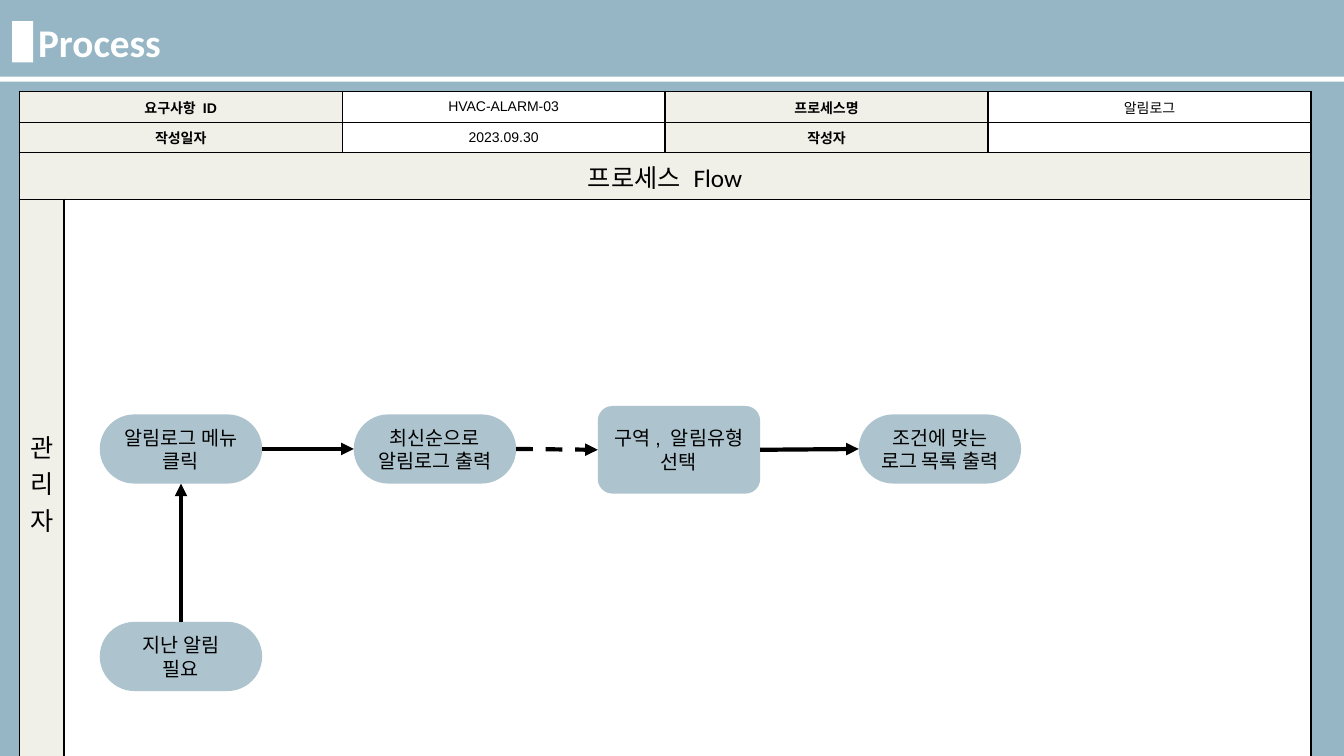
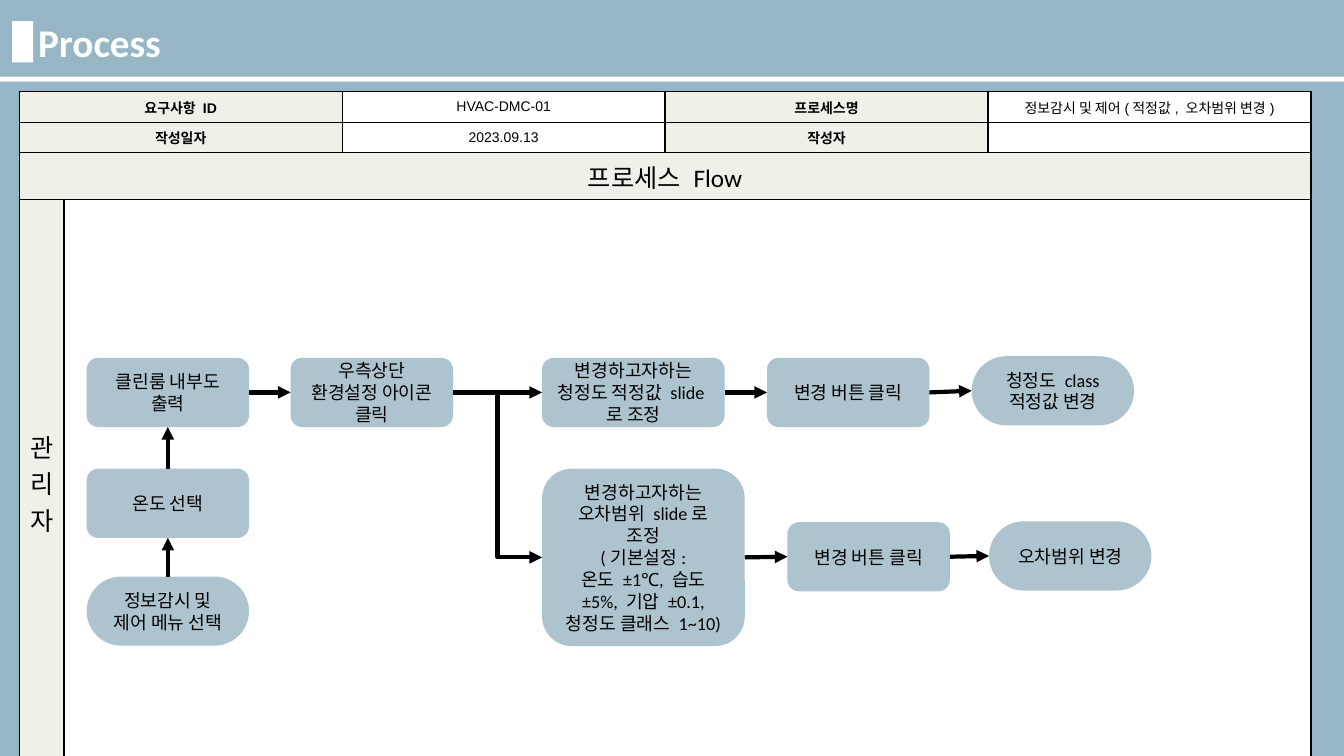
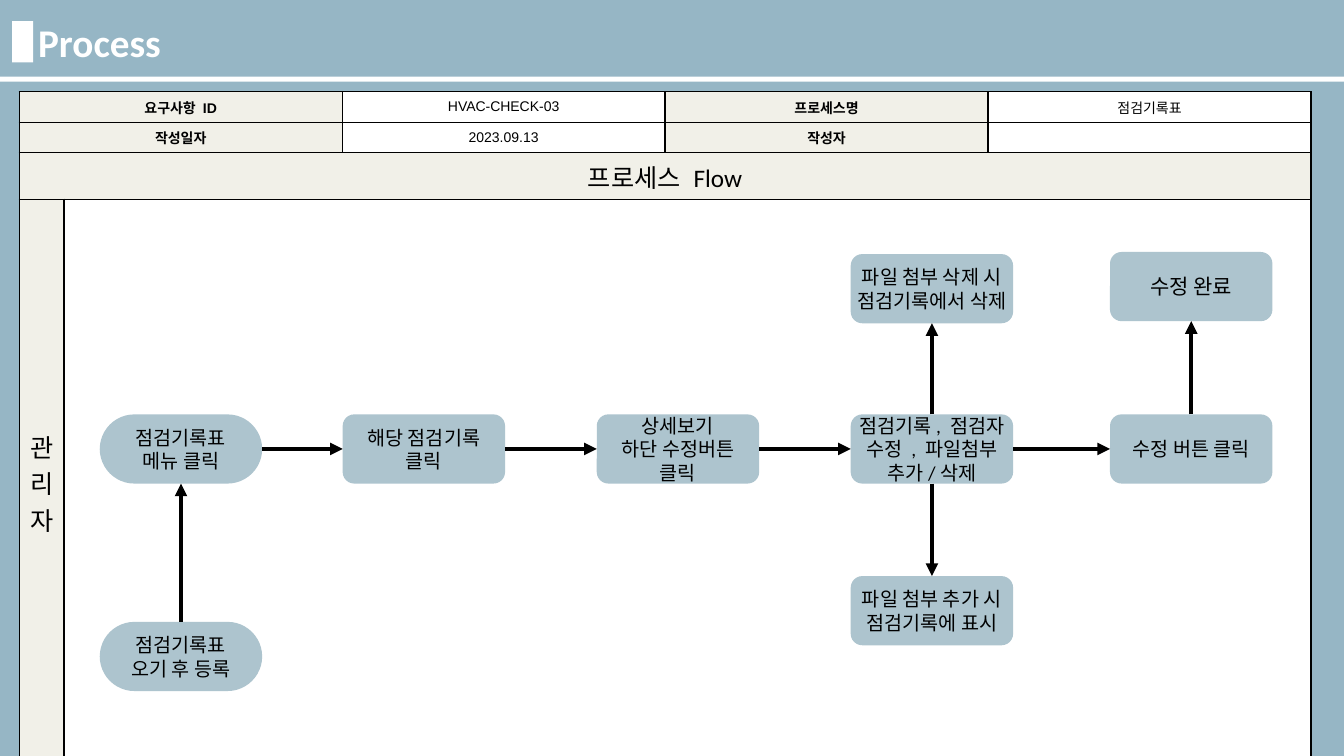
from dataclasses import dataclass

from lxml import etree
from pptx import Presentation
from pptx import util as u
from pptx.dml import color
from pptx.enum import dml, shapes, text
from pptx.oxml import ns

BACK, CREAM, NODE, WHITE, BLACK = "96B6C5", "F1F0E8", "ADC4CE", "FFFFFF", "000000"
HEAD, BODY = "Calibri", "Arial"
WIDE, TALL = 116, 49.4
COLS = (32.1, 198.6, 230.7, 230.7, 230.7)
ROWS = (21.8, 21.8, 32.8, 405)
SITES = {"right": (3, 1), "up": (0, 2), "down": (2, 0)}


@dataclass(frozen=True)
class Node:
    key: str
    x: float
    y: float
    text: str
    pill: bool = False
    w: float = WIDE
    h: float = TALL
    size: float = 14


@dataclass(frozen=True)
class Link:
    src: str
    dst: str
    way: str = "right"
    dash: bool = False
    bent: bool = False


@dataclass(frozen=True)
class Page:
    code: str
    name: str
    date: str
    nodes: tuple[Node, ...]
    links: tuple[Link, ...]
    font: str = HEAD
    wrap: bool = False


def paint(fill, tint: str) -> None:
    fill.solid()
    fill.fore_color.rgb = color.RGBColor.from_string(tint)


def write(frame, words: str, *, size: float, font: str = HEAD, tint: str = BLACK,
          bold: bool = False, center: bool = True) -> None:
    for i, line in enumerate(words.split("\n")):
        par = frame.add_paragraph() if i else frame.paragraphs[0]
        par.alignment = text.PP_ALIGN.CENTER if center else text.PP_ALIGN.LEFT
        if not line:
            etree.SubElement(par._p, ns.qn("a:endParaRPr"), sz=str(int(size * 100)))
            continue
        run = par.add_run()
        run.text = line
        run.font.size = u.Pt(size)
        run.font.name = font
        run.font.bold = bold
        run.font.color.rgb = color.RGBColor.from_string(tint)


def block(slide, kind, x: float, y: float, w: float, h: float, tint: str):
    shape = slide.shapes.add_shape(kind, u.Pt(x), u.Pt(y), u.Pt(w), u.Pt(h))
    shape.shadow.inherit = False
    paint(shape.fill, tint)
    shape.line.fill.background()
    return shape


def banner(slide) -> None:
    box = slide.shapes.add_textbox(u.Pt(20.2), u.Pt(9.4), u.Pt(862), u.Pt(41))
    box.text_frame.word_wrap = True
    write(box.text_frame, "Process", size=28, tint=WHITE, bold=True, center=False)
    rect = shapes.MSO_SHAPE.RECTANGLE
    block(slide, rect, 8.6, 15.1, 15.1, 29.5, WHITE)
    block(slide, rect, 0, 54.7, 960, 3.6, WHITE)


def style(cell, tint: str) -> None:
    props = cell._tc.get_or_add_tcPr()
    for side in ("lnL", "lnR", "lnT", "lnB"):
        line = etree.SubElement(props, ns.qn(f"a:{side}"), w=str(u.Pt(1)))
        fill = etree.SubElement(line, ns.qn("a:solidFill"))
        etree.SubElement(fill, ns.qn("a:srgbClr"), val=BLACK)
    paint(cell.fill, tint)
    cell.vertical_anchor = text.MSO_ANCHOR.MIDDLE


def grid(slide, page: Page) -> None:
    table = slide.shapes.add_table(len(ROWS), len(COLS), u.Pt(13.7), u.Pt(65.5),
                                   u.Pt(sum(COLS)), u.Pt(sum(ROWS))).table
    table.first_row = table.horz_banding = False
    for col, width in zip(table.columns, COLS):
        col.width = u.Pt(width)
    for row, height in zip(table.rows, ROWS):
        row.height = u.Pt(height)
    for r in range(len(ROWS)):
        for c in range(len(COLS)):
            label = r == 2 or c == 0 or (r < 2 and c in (1, 3))
            style(table.cell(r, c), CREAM if label else WHITE)
    for r, first, last in ((0, 0, 1), (1, 0, 1), (2, 0, 4), (3, 1, 4)):
        table.cell(r, first).merge(table.cell(r, last))
    facts = (("요구사항 ID", page.code, "프로세스명", page.name),
             ("작성일자", page.date, "작성자", ""))
    for r, words in enumerate(facts):
        for i, (c, word) in enumerate(zip((0, 2, 3, 4), words)):
            write(table.cell(r, c).text_frame, word, size=10, font=BODY, bold=i % 2 == 0)
    write(table.cell(2, 0).text_frame, "프로세스 Flow", size=18)
    write(table.cell(3, 0).text_frame, "관리자", size=18)


def step(slide, node: Node, page: Page):
    shape = block(slide, shapes.MSO_SHAPE.ROUNDED_RECTANGLE,
                  node.x, node.y, node.w, node.h, NODE)
    if node.pill:
        shape.adjustments[0] = 0.5
    frame = shape.text_frame
    frame.word_wrap = page.wrap
    frame.vertical_anchor = text.MSO_ANCHOR.MIDDLE
    write(frame, node.text, size=node.size, font=page.font)
    return shape


def arrow(slide, link: Link, steps: dict) -> None:
    kind = shapes.MSO_CONNECTOR.ELBOW if link.bent else shapes.MSO_CONNECTOR.STRAIGHT
    line = slide.shapes.add_connector(kind, 0, 0, 0, 0)
    start, end = SITES[link.way]
    line.begin_connect(steps[link.src], start)
    line.end_connect(steps[link.dst], end)
    line.line.width = u.Pt(3)
    paint(line.line.fill, BLACK)
    if link.dash:
        line.line.dash_style = dml.MSO_LINE.DASH
    props = line._element.spPr
    etree.SubElement(props.find(ns.qn("a:ln")), ns.qn("a:tailEnd"), type="triangle")
    etree.SubElement(props, ns.qn("a:effectLst"))


ALARM = Page(
    "HVAC-ALARM-03", "알림로그", "2023.09.30",
    (Node("menu", 71.3, 296, "알림로그 메뉴\n클릭", True),
     Node("need", 71.3, 444.2, "지난 알림\n필요", True),
     Node("list", 252.7, 296, "최신순으로\n알림로그 출력", True),
     Node("pick", 427, 290, "구역, 알림유형\n선택", h=62.6),
     Node("show", 613.4, 296, "조건에 맞는\n로그 목록 출력", True)),
    (Link("need", "menu", "up"), Link("menu", "list"),
     Link("list", "pick", dash=True), Link("pick", "show")),
    font=BODY)

CONTROL = Page(
    "HVAC-DMC-01", "정보감시 및 제어(적정값, 오차범위 변경)", "2023.09.13",
    (Node("menu", 61.9, 411.8, "정보감시 및 제어 메뉴 선택", True, size=13),
     Node("temp", 61.9, 334.8, "온도 선택", size=13),
     Node("room", 61.9, 255.6, "클린룸 내부도 출력", size=13),
     Node("icon", 207.6, 255.6, "우측상단 환경설정 아이콘 클릭", size=13),
     Node("value", 387.2, 255.6, "변경하고자하는 청정도 적정값 slide로 조정", w=130.4, size=13),
     Node("save", 547.9, 255.6, "변경 버튼 클릭", size=13),
     Node("class", 694.1, 254.4, "청정도 class 적정값 변경", True, size=13),
     Node("range", 387.2, 334.8, "변경하고자하는 오차범위 slide로 조정\n(기본설정:\n"
          "온도 ±1℃, 습도 ±5%, 기압 ±0.1,\n청정도 클래스 1~10)", w=144.8, h=126.7, size=13),
     Node("store", 562.5, 373, "변경 버튼 클릭", size=13),
     Node("done", 706.5, 372.4, "오차범위 변경", True, size=13)),
    (Link("menu", "temp", "up"), Link("temp", "room", "up"), Link("room", "icon"),
     Link("icon", "value"), Link("value", "save"), Link("save", "class"),
     Link("icon", "range", bent=True), Link("range", "store"), Link("store", "done")),
    wrap=True)

CHECK = Page(
    "HVAC-CHECK-03", "점검기록표", "2023.09.13",
    (Node("menu", 71.3, 296, "점검기록표\n메뉴 클릭", True),
     Node("error", 71.3, 444.2, "점검기록표\n오기 후 등록", True),
     Node("entry", 244.8, 296, "해당 점검기록\n클릭"),
     Node("view", 426.3, 296, "상세보기\n하단 수정버튼\n클릭"),
     Node("edit", 607.7, 296, "점검기록, 점검자\n수정 , 파일첨부\n추가/삭제"),
     Node("drop", 607.7, 181.5, "파일 첨부 삭제 시\n점검기록에서 삭제"),
     Node("add", 607.7, 411.5, "파일 첨부 추가 시\n점검기록에 표시"),
     Node("save", 792.9, 296, "수정 버튼 클릭"),
     Node("done", 792.9, 180, "수정 완료", size=15)),
    (Link("error", "menu", "up"), Link("menu", "entry"), Link("entry", "view"),
     Link("view", "edit"), Link("edit", "drop", "up"), Link("edit", "add", "down"),
     Link("edit", "save"), Link("save", "done", "up")))


def main() -> None:
    deck = Presentation()
    deck.slide_width, deck.slide_height = u.Pt(960), u.Pt(540)
    paint(deck.slide_master.background.fill, BACK)
    for page in (ALARM, CONTROL, CHECK):
        slide = deck.slides.add_slide(deck.slide_layouts[6])
        grid(slide, page)
        banner(slide)
        steps = {node.key: step(slide, node, page) for node in page.nodes}
        for link in page.links:
            arrow(slide, link, steps)
    deck.save("out.pptx")


if __name__ == "__main__":
    main()
